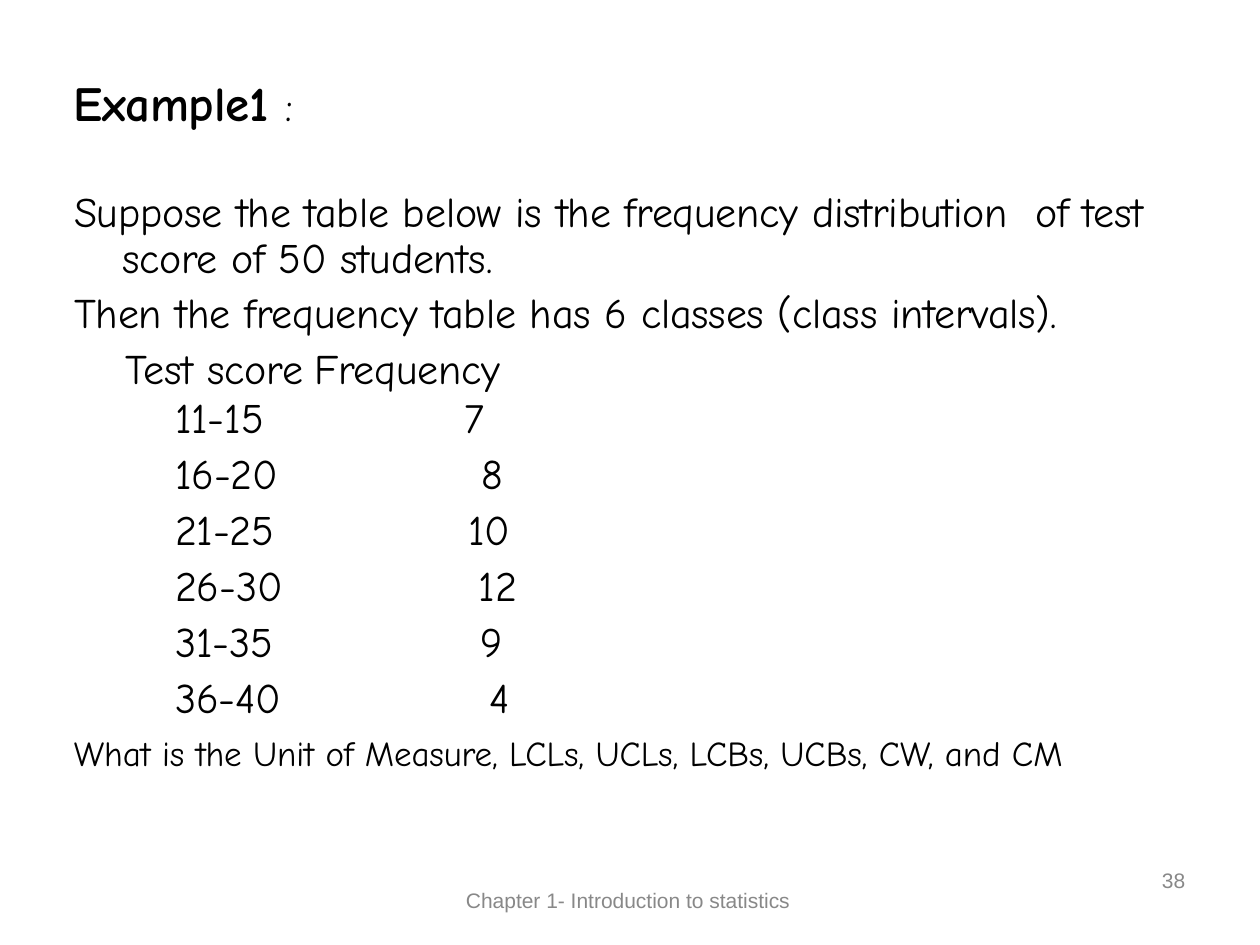
from dataclasses import dataclass

from lxml.etree import SubElement
from pptx import Presentation
from pptx.dml.color import RGBColor
from pptx.enum.text import PP_ALIGN
from pptx.oxml.ns import qn
from pptx.util import Pt

EMU_PER_PX = 914400 / 126


def px(length):
    return round(length * EMU_PER_PX)


@dataclass(frozen=True)
class Theme:
    body_font: str = "Comic Neue"
    footer_font: str = "Arial"
    ink: str = "000000"
    muted: str = "888888"
    title: int = 28
    body: int = 24
    question: int = 20
    footer: int = 12


class PageBuilder:
    def __init__(self, page, theme):
        self.page = page
        self.theme = theme

    def style(self, span, size, bold=False, footer=False, spacing=-10):
        """Format a run; spacing is in hundredths of a point."""
        theme = self.theme
        span.font.name = theme.footer_font if footer else theme.body_font
        span.font.size = Pt(size)
        span.font.bold = bold
        color = theme.muted if footer else theme.ink
        span.font.color.rgb = RGBColor.from_string(color)
        span._r.get_or_add_rPr().set("spc", str(spacing))

    def indent(self, para, left, first=0):
        properties = para._p.get_or_add_pPr()
        properties.set("marL", str(px(left)))
        properties.set("indent", str(px(first)))

    def text_box(self, left, top, width, height, inset_top=1):
        box = self.page.shapes.add_textbox(px(left), px(top), px(width), px(height))
        frame = box.text_frame
        frame.word_wrap = True
        frame.margin_left = frame.margin_right = frame.margin_bottom = 0
        frame.margin_top = px(inset_top)
        return frame

    def line(self, frame, text, size, left=1, before=1, **look):
        frame.text = text
        para = frame.paragraphs[0]
        para.space_before = Pt(before)
        self.indent(para, left)
        self.style(para.runs[0], size, **look)
        return para

    def footer(self, left, top, width, height, text, indent):
        frame = self.text_box(left, top, width, height, inset_top=0)
        para = self.line(frame, text, self.theme.footer, indent, 0,
                         footer=True, spacing=0)
        para.line_spacing = Pt(14.2)

    def body(self, left, top, width, height, paragraphs):
        frame = self.text_box(left, top, width, height, inset_top=8)
        frame.text = "\n".join(text for text, *_ in paragraphs)
        for para, (_, margin, first, before, tab) in zip(frame.paragraphs, paragraphs):
            self.indent(para, margin, first)
            para.space_before = Pt(before)
            if first:
                para.line_spacing = Pt(25.9)
            if tab:
                tabs = SubElement(para._p.get_or_add_pPr(), qn("a:tabLst"))
                SubElement(tabs, qn("a:tab"), pos=str(px(tab)), algn="l")
            for span in para.runs:
                self.style(span, self.theme.body)

    def table(self, left, top, widths, row_height, rows):
        frame = self.page.shapes.add_table(
            len(rows), len(widths), px(left), px(top),
            px(sum(widths)), px(row_height * len(rows)))
        table = frame.table
        table.first_row = table.horz_banding = False
        for column, width in zip(table.columns, widths):
            column.width = px(width)
        for index, (score, count, right) in enumerate(rows):
            table.rows[index].height = px(row_height)
            score_cell, count_cell = table.rows[index].cells
            for cell, text in ((score_cell, score), (count_cell, count)):
                cell.fill.background()
                cell.margin_left = cell.margin_right = cell.margin_bottom = 0
                cell.margin_top = px(3)
                self.line(cell.text_frame, text, self.theme.body, 4, 1.6)
            # Each frequency keeps its own distance from the right edge
            count_cell.margin_right = px(right)
            para = count_cell.text_frame.paragraphs[0]
            self.indent(para, 0)
            para.alignment = PP_ALIGN.RIGHT


def main():
    deck = Presentation()
    deck.slide_width, deck.slide_height = px(1260), px(945)
    theme = Theme()
    builder = PageBuilder(deck.slides.add_slide(deck.slide_layouts[6]), theme)

    # Footer and page number
    builder.footer(1154, 868, 34, 48, "38", 8)
    builder.footer(465, 888, 329, 26, "Chapter 1- Introduction to statistics", 1)

    # Heading
    heading = builder.line(builder.text_box(73, 72, 251, 62), "Example1 ",
                           theme.title, bold=True)
    colon = heading.add_run()
    colon.text = ":"
    builder.style(colon, theme.body, spacing=0)

    # Problem statement: text, margin, first-line indent, space before, tab
    builder.body(73, 183, 1104, 210, [
        ("Suppose the table below is the frequency distribution  of "
         "test score of 50 students.", 49, -48, 4.2, None),
        ("Then the frequency table has 6 classes (class intervals).", 1, 0, 2.8, None),
        ("Test score\tFrequency", 52, 0, 3.1, 289),
    ])

    # Frequency table: class, frequency, right inset
    builder.table(171, 393, (208, 141), 56, [
        ("11-15", "7", 36),
        ("16-20", "8", 17),
        ("21-25", "10", 10),
        ("26-30", "12", 3),
        ("31-35", "9", 17),
        ("36-40", "4", 10),
    ])

    # Question
    builder.line(
        builder.text_box(73, 730, 1099, 45),
        "What is the Unit of Measure, LCLs, UCLs, LCBs, UCBs, CW, and CM",
        theme.question)

    deck.save("out.pptx")


if __name__ == "__main__":
    main()
